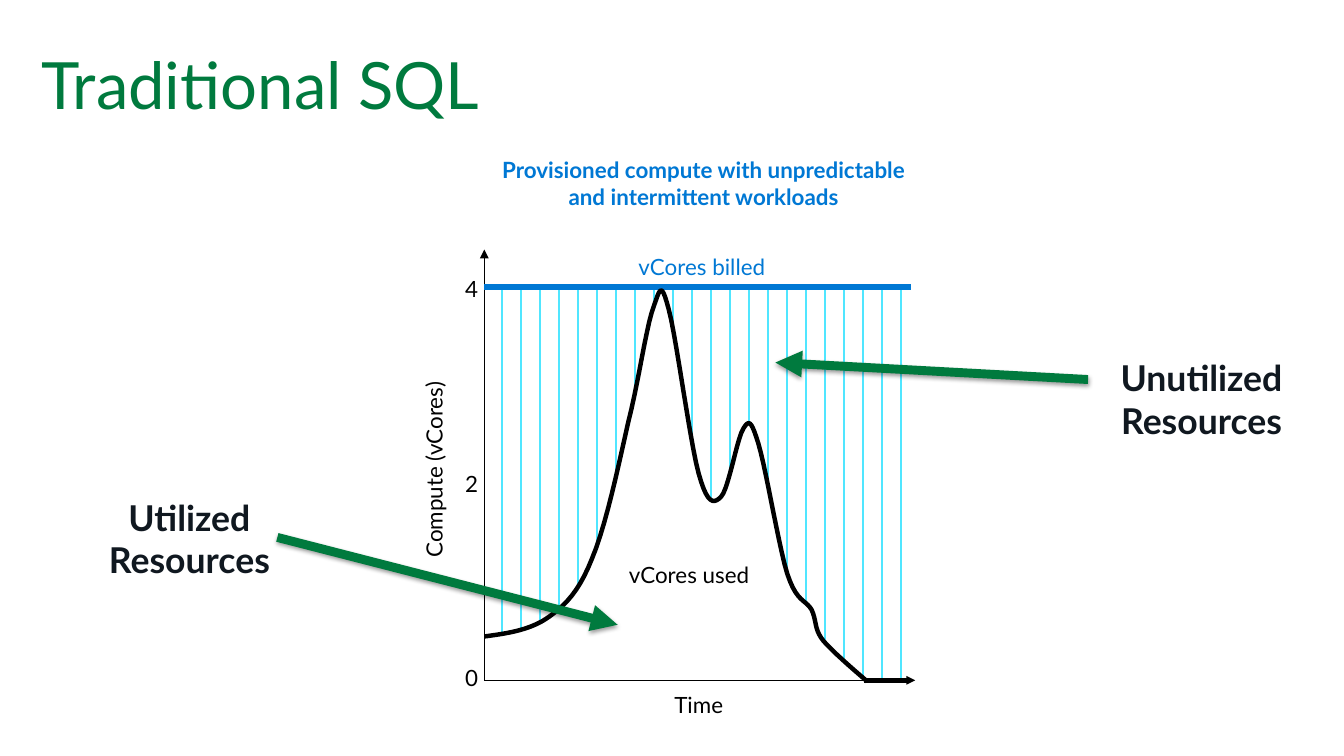
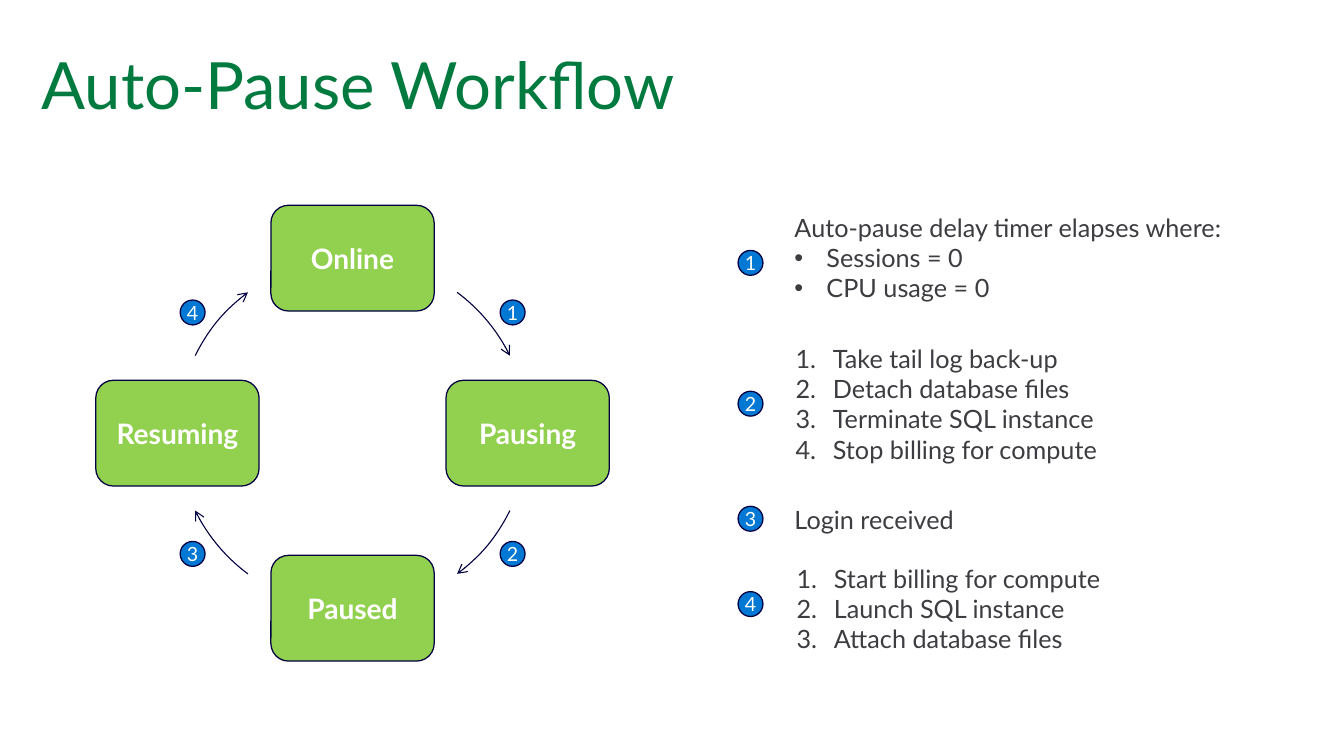
from dataclasses import dataclass
from typing import Any, Optional

from lxml.etree import SubElement
from pptx import Presentation
from pptx.dml.color import RGBColor
from pptx.enum.shapes import MSO_CONNECTOR, MSO_SHAPE
from pptx.enum.text import MSO_ANCHOR, MSO_AUTO_SIZE, PP_ALIGN
from pptx.oxml.ns import qn
from pptx.util import Pt

GREEN = RGBColor(0x00, 0x7A, 0x3E)
BLUE = RGBColor(0x00, 0x78, 0xD4)
CYAN = RGBColor(0x50, 0xE6, 0xFF)
LIME = RGBColor(0x92, 0xD0, 0x50)
NAVY = RGBColor(0x00, 0x00, 0x41)
INK = RGBColor(0x10, 0x18, 0x20)
GRAY = RGBColor(0x3C, 0x3C, 0x41)
BLACK = RGBColor(0x00, 0x00, 0x00)
WHITE = RGBColor(0xFF, 0xFF, 0xFF)
FONT = "Lato"
SIDES = ("margin_left", "margin_top", "margin_right", "margin_bottom")
Point = tuple[float, float]


@dataclass
class Label:
    text: str
    left: float
    top: float
    width: float
    height: float = 18
    size: float = 15.1
    color: RGBColor = BLACK
    bold: bool = False
    align: PP_ALIGN = PP_ALIGN.CENTER
    pad: bool = False
    turn: int = 0
    fill: Optional[RGBColor] = None


@dataclass
class Stroke:
    start: Point
    end: Point
    color: RGBColor
    width: float
    tip: Optional[str] = None
    shade: bool = False


@dataclass
class Step:
    left: float
    top: float
    lines: list[str]
    dot: float
    mark: Optional[str] = None
    intro: int = 0


def apply(item: Any, values: dict[str, Any]) -> None:
    for name, value in values.items():
        setattr(item, name, value)


def set_font(part: Any, size: float, color: RGBColor, bold: bool = False) -> None:
    apply(part.font, {"name": FONT, "size": Pt(size), "bold": bold})
    part.font.color.rgb = color


def set_line(shape: Any, color: RGBColor, width: float, tip: Optional[str] = None) -> None:
    shape.line.color.rgb = color
    shape.line.width = Pt(width)
    if tip:
        SubElement(shape.element.spPr.find(qn("a:ln")), qn("a:tailEnd"), type=tip)


def new_slide(deck: Any, title: str) -> Any:
    slide = deck.slides.add_slide(deck.slide_layouts[5])
    head = slide.shapes.title
    apply(head, {"left": Pt(28), "top": Pt(28), "width": Pt(850), "height": Pt(57)})
    frame = head.text_frame
    frame.text = title
    apply(frame, dict.fromkeys(SIDES, 0))
    apply(frame, {"auto_size": MSO_AUTO_SIZE.NONE, "vertical_anchor": MSO_ANCHOR.MIDDLE})
    frame.paragraphs[0].alignment = PP_ALIGN.LEFT
    set_font(frame.paragraphs[0].runs[0], 44, GREEN)
    return slide


def add_label(slide: Any, label: Label) -> None:
    box = slide.shapes.add_textbox(
        Pt(label.left), Pt(label.top), Pt(label.width), Pt(label.height))
    box.rotation = label.turn
    if label.fill is not None:
        box.fill.solid()
        box.fill.fore_color.rgb = label.fill
    frame = box.text_frame
    frame.word_wrap = True
    if not label.pad:
        apply(frame, dict.fromkeys(SIDES, 0))
    para = frame.paragraphs[0]
    para.text = label.text
    para.alignment = label.align
    set_font(para.runs[0], label.size, label.color, label.bold)


def add_stroke(slide: Any, stroke: Stroke) -> None:
    line = slide.shapes.add_connector(
        MSO_CONNECTOR.STRAIGHT, *map(Pt, stroke.start + stroke.end))
    set_line(line, stroke.color, stroke.width, stroke.tip)
    effects = SubElement(line.element.spPr, qn("a:effectLst"))
    if stroke.shade:
        shadow = SubElement(effects, qn("a:outerShdw"), blurRad=str(Pt(3.1)),
                            dist=str(Pt(1.6)), dir="5400000", rotWithShape="0")
        tint = SubElement(shadow, qn("a:srgbClr"), val="000000")
        SubElement(tint, qn("a:alpha"), val="38000")


def add_block(slide: Any, kind: MSO_SHAPE, center: Point, size: Point,
              fill: RGBColor, text: str, points: float, bold: bool) -> None:
    (x, y), (width, height) = center, size
    block = slide.shapes.add_shape(
        kind, Pt(x - width / 2), Pt(y - height / 2), Pt(width), Pt(height))
    block.shadow.inherit = False
    block.fill.solid()
    block.fill.fore_color.rgb = fill
    set_line(block, NAVY, 0.85)
    frame = block.text_frame
    apply(frame, dict.fromkeys(SIDES, 0))
    apply(frame, {"word_wrap": False, "vertical_anchor": MSO_ANCHOR.MIDDLE})
    para = frame.paragraphs[0]
    para.text = text
    para.alignment = PP_ALIGN.CENTER
    set_font(para.runs[0], points, WHITE, bold)


def add_dot(slide: Any, x: float, y: float, number: int) -> None:
    add_block(slide, MSO_SHAPE.OVAL, (x, y), (16.8, 16.8), BLUE, str(number), 13.2, False)


def trace(knots: list[Point], count: int = 10) -> list[Point]:
    """Sample a chain of cubic Bézier curves that share their end knots."""
    points = [knots[0]]
    for first in range(0, len(knots) - 1, 3):
        a, b, c, d = knots[first:first + 4]
        for i in range(1, count + 1):
            t = i / count
            u = 1 - t
            weights = (u ** 3, 3 * u * u * t, 3 * u * t * t, t ** 3)
            x, y = (sum(w * p[axis] for w, p in zip(weights, (a, b, c, d)))
                    for axis in (0, 1))
            points.append((x, y))
    return points


def height_at(x: float, points: list[Point]) -> float:
    for (x1, y1), (x2, y2) in zip(points, points[1:]):
        if x1 <= x <= x2 and x1 < x2:
            return y1 + (y2 - y1) * (x - x1) / (x2 - x1)
    return BASE


LEFT, BASE, BILLED = 326.9, 459.4, 193.7
USAGE = [
    (326.9, 429.8), (342.7, 427.7), (357.8, 425.5), (370.1, 416.9),
    (382.3, 408.2), (391, 398.9), (399.6, 377.3),
    (409, 355), (417.6, 313.9), (424.1, 285.1),
    (431.3, 257), (436.3, 219.6), (441.4, 206.6),
    (445.7, 194.4), (446.4, 190.1), (451.4, 208.8),
    (456.5, 227.5), (465.8, 298.8), (471.6, 319.7),
    (477.4, 340.6), (481.7, 340.6), (486.7, 335.5),
    (491.8, 330.5), (497.5, 295.9), (501.8, 289.4),
    (505.4, 283.7), (506.9, 283), (511.9, 299.5),
    (517, 316.1), (525.6, 368.6), (531.4, 387.4),
    (537.8, 406.8), (543.6, 404.6), (547.9, 411.8),
    (551.5, 419.8), (549.4, 424.8), (555.8, 432.7),
    (562.3, 440.6), (585.4, 460.1), (585.4, 460.1),
]
AXES = [
    Stroke((LEFT, BASE), (LEFT, 168.5), BLACK, 1, "triangle"),
    Stroke((LEFT, BASE), (617.8, BASE), BLACK, 1, "triangle"),
    Stroke((583.2, BASE), (612.7, BASE), BLACK, 3),
]
LABELS = [
    Label("Time", 443.5, 466.6, 56.2),
    Label("Compute (vCores)", 220.3, 308.2, 144.7, turn=270),
    Label("vCores billed", 328.3, 170.6, 290.9, color=BLUE),
    Label("vCores used", 401, 378.7, 128.2, fill=WHITE),
    Label("Provisioned compute with unpredictable and intermittent workloads",
          326.2, 102.2, 297.4, 43.9, color=BLUE, bold=True, pad=True),
    *(Label(tick, 314, 185.8 + 131.4 * i, 14.4, align=PP_ALIGN.LEFT)
      for i, tick in enumerate("420")),
]
NOTES = [
    Label("Unutilized Resources", 739.4, 236.9, 143.3, 65.5, 24, INK, True, pad=True),
    Label("Utilized Resources", 63.4, 331.2, 128.9, 65.5, 24, INK, True, pad=True),
]
ARROWS = [
    Stroke((734.4, 256.3), (523.4, 244.8), GREEN, 6, "triangle", True),
    Stroke((187.2, 362.9), (416.9, 421.9), GREEN, 6, "triangle", True),
]


def draw_usage(deck: Any) -> None:
    slide = new_slide(deck, "Traditional SQL")
    points = trace(USAGE)
    for i in range(22):
        x = 339 + 12.82 * i
        add_stroke(slide, Stroke((x, 195.8), (x, height_at(x, points)), CYAN, 1.5))
    for axis in AXES:
        add_stroke(slide, axis)
    for label in LABELS:
        add_label(slide, label)
    add_stroke(slide, Stroke((LEFT, BILLED), (614.9, BILLED), BLUE, 4.5))
    start, *rest = [(Pt(x), Pt(y)) for x, y in points]
    pen = slide.shapes.build_freeform(*start)
    pen.add_line_segments(rest, close=False)
    curve = pen.convert_to_shape()
    curve.shadow.inherit = False
    curve.fill.background()
    set_line(curve, BLACK, 3)
    for arrow in ARROWS:
        add_stroke(slide, arrow)
    for note in NOTES:
        add_label(slide, note)


HUB, REACH, RADIUS, SWEEP = (238, 292.5), 118.2, 118.4, 27.2
STATES = [("Online", 0, -1), ("Pausing", 1, 0), ("Paused", 0, 1), ("Resuming", -1, 0)]
ARCS = (306.6, 26.2, 126.6, 206.2)
DOTS = ((1, -1), (1, 1), (-1, 1), (-1, -1))
STEPS = [
    Step(529.2, 139.7, ["Auto-pause delay timer elapses where:", "Sessions = 0",
                        "CPU usage = 0"], 177.5, "•", 1),
    Step(529.9, 228.2, ["Take tail log back-up", "Detach database files",
                        "Terminate SQL instance", "Stop billing for compute"], 272.6, "1."),
    Step(529.2, 337, ["Login received"], 350.3),
    Step(530.6, 376.6, ["Start billing for compute", "Launch SQL instance",
                        "Attach database files"], 407.9, "1."),
]


def add_mark(para: Any, mark: str) -> None:
    indent = Pt(21.6 if mark == "•" else 25.2)
    props = para._p.get_or_add_pPr()
    props.set("marL", str(indent))
    props.set("indent", str(-indent))
    if mark == "•":
        SubElement(props, qn("a:buFont"), typeface="Arial")
        SubElement(props, qn("a:buChar"), char=mark)
    else:
        SubElement(props, qn("a:buAutoNum"), type="arabicPeriod")


def add_step(slide: Any, step: Step) -> None:
    box = slide.shapes.add_textbox(
        Pt(step.left), Pt(step.top), Pt(320), Pt(7.2 + 20.4 * len(step.lines)))
    frame = box.text_frame
    frame.word_wrap = True
    for i, text in enumerate(step.lines):
        para = frame.add_paragraph() if i else frame.paragraphs[0]
        para.text = text
        if step.mark and i >= step.intro:
            add_mark(para, step.mark)
        set_font(para, 17, GRAY)


def draw_cycle(deck: Any) -> None:
    slide = new_slide(deck, "Auto-Pause Workflow")
    x, y = HUB
    for (name, across, down), angle in zip(STATES, ARCS):
        center = (x + REACH * across, y + REACH * down)
        add_block(slide, MSO_SHAPE.ROUNDED_RECTANGLE, center, (110.2, 71.4),
                  LIME, name, 19, True)
        arc = slide.shapes.add_shape(MSO_SHAPE.ARC, Pt(x - RADIUS), Pt(y - RADIUS),
                                     Pt(2 * RADIUS), Pt(2 * RADIUS))
        arc.shadow.inherit = False
        arc.fill.background()
        for i, degrees in enumerate((angle, angle + SWEEP)):
            arc.adjustments[i] = degrees * 0.6
        set_line(arc, NAVY, 0.75, "arrow")
    for number, ((across, down), step) in enumerate(zip(DOTS, STEPS), 1):
        add_dot(slide, x + 108 * across, y + 81.5 * down, number)
        add_dot(slide, 506.6, step.dot, number)
        add_step(slide, step)


def main() -> None:
    deck = Presentation()
    apply(deck, {"slide_width": Pt(907.2), "slide_height": Pt(510.48)})
    draw_usage(deck)
    draw_cycle(deck)
    deck.save("out.pptx")


if __name__ == "__main__":
    main()
